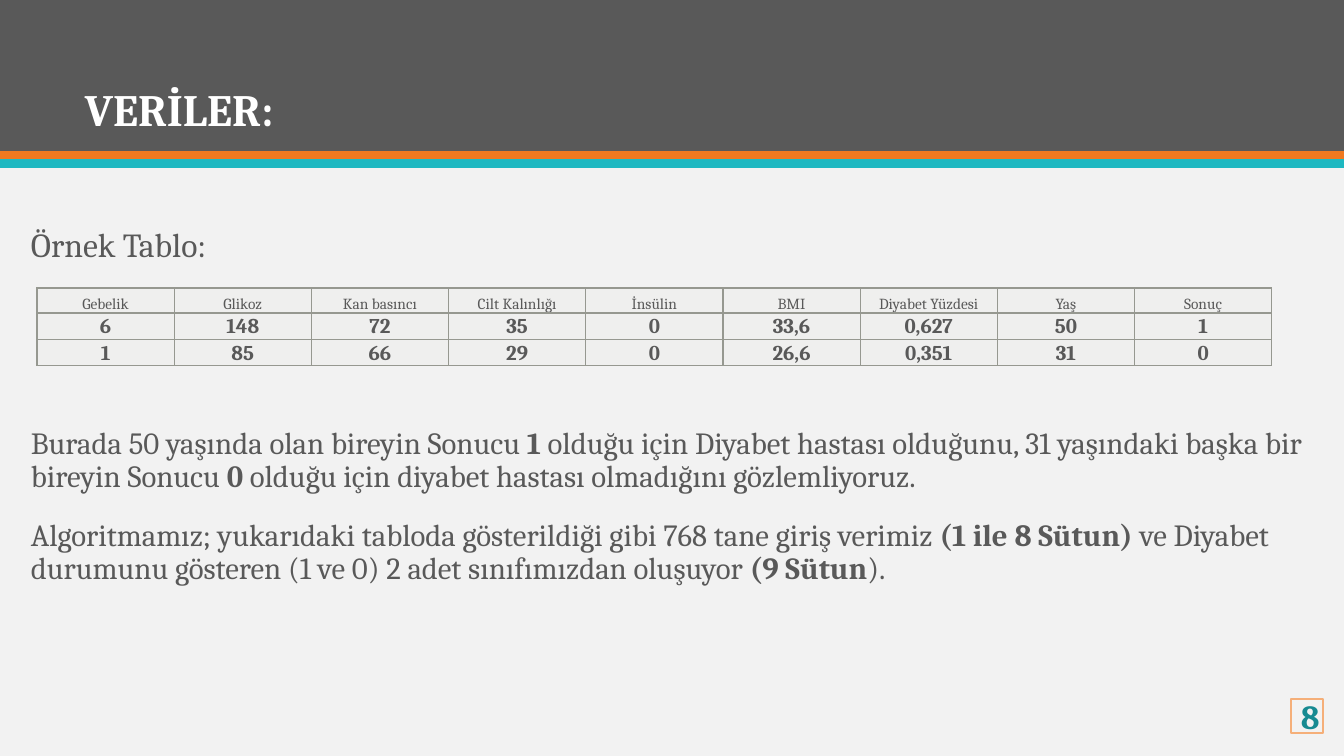
from pptx import Presentation
from pptx.dml.color import RGBColor
from pptx.enum.shapes import MSO_SHAPE as Shape
from pptx.enum.text import MSO_ANCHOR as Anchor, PP_ALIGN as Align
from pptx.oxml import parse_xml
from pptx.oxml.ns import nsdecls
from pptx.util import Pt

PX = 914400 / 100.8
FONT = "Cambria"
PAPER = RGBColor(0xF2, 0xF2, 0xF2)
GREY = RGBColor(0x59, 0x59, 0x59)
ORANGE = RGBColor(0xEF, 0x79, 0x20)
TURQUOISE = RGBColor(0x1E, 0xB8, 0xC1)
WHITE = RGBColor(0xFF, 0xFF, 0xFF)
PEACH = RGBColor(0xF5, 0xAF, 0x79)
TEAL = RGBColor(0x17, 0x8A, 0x91)
CELL = RGBColor(0xEF, 0xEF, 0xEE)
BORDER = "969890"


def px(*lengths):
    return [round(length * PX) for length in lengths]


def write(frame, paragraphs, size, color, bold=False, spacing=0.9, align=Align.LEFT):
    """Each paragraph is a list of spans; every second span is bold."""
    frame.word_wrap = True
    for number, spans in enumerate(paragraphs):
        para = frame.paragraphs[0] if number == 0 else frame.add_paragraph()
        para.alignment = align
        para.line_spacing = spacing
        para.space_before = Pt(18 if number else 0)
        for position, text in enumerate(spans):
            span = para.add_run()
            span.text = text
            span.font.name = FONT
            span.font.size = Pt(size)
            span.font.bold = bold or position % 2 == 1
            span.font.color.rgb = color


deck = Presentation()
deck.slide_width, deck.slide_height = px(1344, 756)
page = deck.slides.add_slide(deck.slide_layouts[6])
page.background.fill.solid()
page.background.fill.fore_color.rgb = PAPER

# Header bands
for top, height, color in [(0, 151, GREY), (151, 9, ORANGE), (159, 9, TURQUOISE)]:
    band = page.shapes.add_shape(Shape.RECTANGLE, *px(0, top, 1344, height))
    band.shadow.inherit = False
    band.fill.solid()
    band.fill.fore_color.rgb = color
    band.line.fill.background()

# Title and table heading
title = page.shapes.add_textbox(*px(75, 64, 337, 77)).text_frame
title.vertical_anchor = Anchor.BOTTOM
write(title, [["VERİLER:"]], 32, WHITE, bold=True)
heading = page.shapes.add_textbox(*px(21, 224, 763, 54)).text_frame
write(heading, [["Örnek Tablo:"]], 24, GREY)

# Page number
number_box = page.shapes.add_shape(Shape.RECTANGLE, *px(1291, 699, 32, 34))
number_box.shadow.inherit = False
number_box.fill.background()
number_box.line.color.rgb = PEACH
number_box.line.width = Pt(1.5)
number_box.text_frame.vertical_anchor = Anchor.MIDDLE
write(number_box.text_frame, [["8"]], 24, TEAL, bold=True, spacing=1.0, align=Align.CENTER)

# Sample table
rows = [
    ["Gebelik", "Glikoz", "Kan basıncı", "Cilt Kalınlığı", "İnsülin", "BMI",
     "Diyabet Yüzdesi", "Yaş", "Sonuç"],
    ["6", "148", "72", "35", "0", "33,6", "0,627", "50", "1"],
    ["1", "85", "66", "29", "0", "26,6", "0,351", "31", "0"],
]
table = page.shapes.add_table(3, 9, *px(37, 288, 1235, 75)).table
for row_index, values in enumerate(rows):
    for column_index, value in enumerate(values):
        cell = table.cell(row_index, column_index)
        cell.margin_left, cell.margin_right, cell.margin_top, cell.margin_bottom = px(1, 1, 1, 0)
        cell.vertical_anchor = Anchor.BOTTOM
        is_data = row_index > 0
        write(cell.text_frame, [[value]], 15 if is_data else 11, GREY,
              bold=is_data, spacing=1.0, align=Align.CENTER)
        properties = cell._tc.get_or_add_tcPr()
        for side in ("lnL", "lnR", "lnT", "lnB"):
            properties.append(parse_xml(
                f'<a:{side} {nsdecls("a")} w="12700"><a:solidFill>'
                f'<a:srgbClr val="{BORDER}"/></a:solidFill></a:{side}>'))
        cell.fill.solid()
        cell.fill.fore_color.rgb = CELL

# Explanation
explanation = page.shapes.add_textbox(*px(21, 423, 1301, 324)).text_frame
write(explanation, [
    ["Burada 50 yaşında olan bireyin Sonucu ", "1",
     " olduğu için Diyabet hastası olduğunu, 31 yaşındaki başka bir bireyin Sonucu ", "0",
     " olduğu için diyabet hastası olmadığını gözlemliyoruz."],
    ["Algoritmamız; yukarıdaki tabloda gösterildiği gibi 768 tane giriş verimiz ",
     "(1 ile 8 Sütun) ",
     "ve Diyabet durumunu gösteren (1 ve 0) 2 adet sınıfımızdan oluşuyor ",
     "(9 Sütun", ")."],
], 22, GREY)

deck.save("out.pptx")
